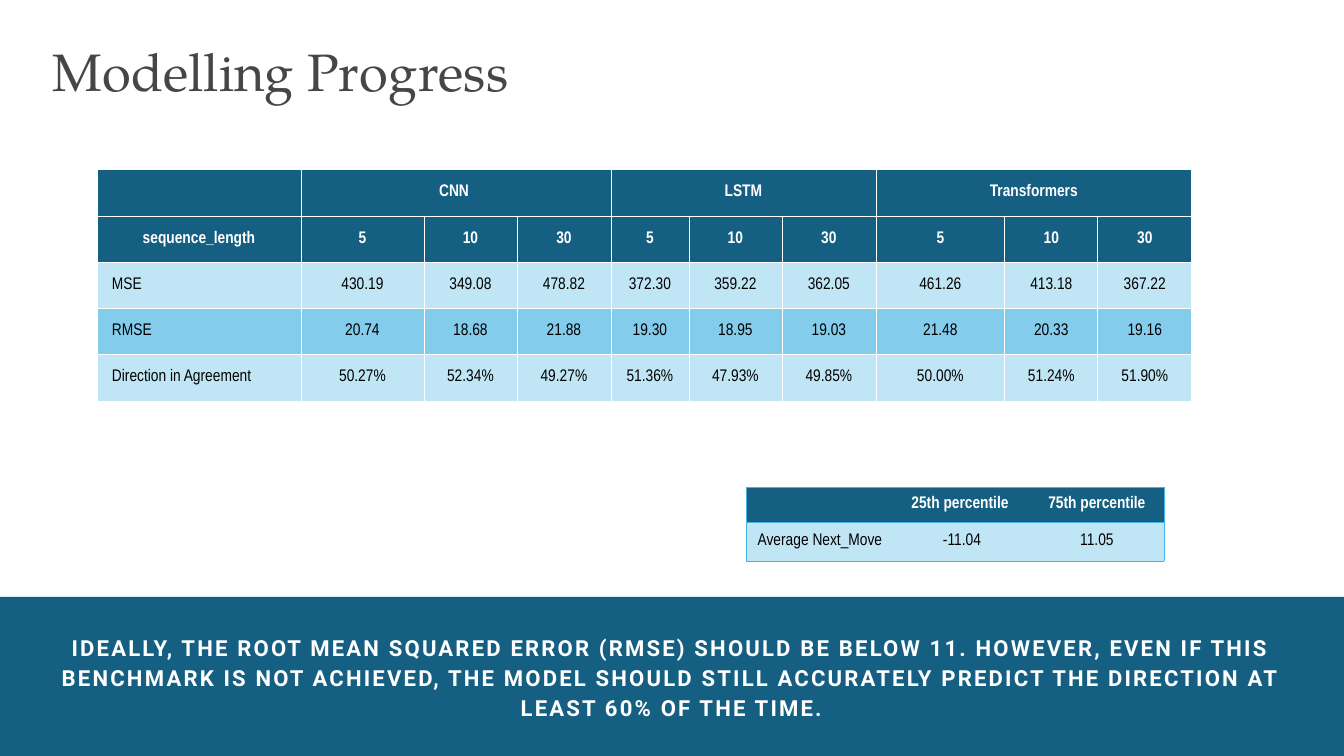
import lxml.etree
import pptx
import pptx.dml.color
import pptx.enum.shapes
import pptx.enum.text
import pptx.oxml.ns
import pptx.util

RGB = pptx.dml.color.RGBColor
ALIGN = pptx.enum.text.PP_ALIGN
ANCHOR = pptx.enum.text.MSO_ANCHOR

NAVY = RGB(0x15, 0x60, 0x82)
PALE = RGB(0xC0, 0xE6, 0xF5)
SKY = RGB(0x83, 0xCC, 0xEB)
EDGE = RGB(0x44, 0xB3, 0xE1)
WHITE = RGB(0xFF, 0xFF, 0xFF)
BLACK = RGB(0x00, 0x00, 0x00)
GREY = RGB(0x46, 0x46, 0x46)

TITLE = "Modelling Progress"
BENCHMARK = (
    "IDEALLY, THE ROOT MEAN SQUARED ERROR (RMSE) SHOULD BE BELOW 11. HOWEVER, EVEN IF THIS "
    "BENCHMARK IS NOT ACHIEVED, THE MODEL SHOULD STILL ACCURATELY PREDICT THE DIRECTION AT "
    "LEAST 60% OF THE TIME."
)
RESULTS = [
    ["", "CNN ", "", "", "LSTM", "", "", "Transformers", "", ""],
    ["sequence_length"] + ["5", "10", "30"] * 3,
    ["MSE", "430.19", "349.08", "478.82", "372.30", "359.22", "362.05", "461.26", "413.18", "367.22"],
    ["RMSE", "20.74", "18.68", "21.88", "19.30", "18.95", "19.03", "21.48", "20.33", "19.16"],
    ["Direction in Agreement", "50.27%", "52.34%", "49.27%", "51.36%", "47.93%", "49.85%",
     "50.00%", "51.24%", "51.90%"],
]
RESULT_COLUMNS = [204, 123, 93, 94, 78, 93, 94, 129, 93, 94]
RESULT_ROWS = [47, 46, 46, 46, 47]
MODEL_STARTS = [1, 4, 7]
PERCENTILES = [
    ["", "25th percentile ", "75th percentile"],
    ["Average Next_Move", "-11.04", "11.05"],
]
PERCENTILE_COLUMNS = [148, 136, 134]
PERCENTILE_ROWS = [35, 39]


def px(length):
    return pptx.util.Emu(round(length * 914400 / 100.8))


def add_text(page, text, left, top, width, height, font, size, colour, leading, bold=False,
             align=ALIGN.LEFT, tracking=0):
    box = page.shapes.add_textbox(px(left), px(top), px(width), px(height))
    frame = box.text_frame
    frame.word_wrap = True
    frame.margin_left = frame.margin_top = frame.margin_right = frame.margin_bottom = 0
    para = frame.paragraphs[0]
    para.alignment = align
    para.line_spacing = pptx.util.Pt(leading)
    span = para.add_run()
    span.text = text
    para.font.name = font
    para.font.size = pptx.util.Pt(size)
    para.font.bold = bold
    para.font.color.rgb = colour
    if tracking:
        span._r.get_or_add_rPr().set("spc", str(tracking))


def set_border(cell, side, colour):
    name = pptx.oxml.ns.qn("a:ln" + side)
    line = lxml.etree.SubElement(cell._tc.get_or_add_tcPr(), name, w="6350")
    if colour is None:
        lxml.etree.SubElement(line, pptx.oxml.ns.qn("a:noFill"))
    else:
        fill = lxml.etree.SubElement(line, pptx.oxml.ns.qn("a:solidFill"))
        lxml.etree.SubElement(fill, pptx.oxml.ns.qn("a:srgbClr"), val=str(colour))


def add_grid(page, rows, left, top, widths, heights, header_rows, border, inside, inset,
             label_align):
    frame = page.shapes.add_table(len(rows), len(widths), px(left), px(top),
                                  px(sum(widths)), px(sum(heights)))
    grid = frame.table
    for column, width in zip(grid.columns, widths):
        column.width = px(width)
    for row, height in zip(grid.rows, heights):
        row.height = px(height)
    for r, values in enumerate(rows):
        header = r < header_rows
        shade = NAVY if header else (PALE, SKY)[(r - header_rows) % 2]
        for c, value in enumerate(values):
            cell = grid.cell(r, c)
            cell.margin_left = cell.margin_right = px(inset)
            cell.margin_top = cell.margin_bottom = px(1)
            cell.vertical_anchor = ANCHOR.MIDDLE
            set_border(cell, "L", border if c == 0 else inside)
            set_border(cell, "R", border if c == len(widths) - 1 else inside)
            set_border(cell, "T", border)
            set_border(cell, "B", border)
            cell.fill.solid()
            cell.fill.fore_color.rgb = shade
            if not value:
                continue
            cell.text = value
            para = cell.text_frame.paragraphs[0]
            para.alignment = label_align if c == 0 and not header else ALIGN.CENTER
            para.font.name = "Arial Narrow"
            para.font.size = pptx.util.Pt(12)
            para.font.bold = header
            para.font.color.rgb = WHITE if header else BLACK
    return grid


def main():
    deck = pptx.Presentation()
    deck.slide_width = px(1344)
    deck.slide_height = px(756)
    page = deck.slides.add_slide(deck.slide_layouts[6])

    add_text(page, TITLE, 53, 46, 1240, 55, "TeX Gyre Pagella", 37.5, GREY, 39.9)

    band = page.shapes.add_shape(pptx.enum.shapes.MSO_SHAPE.RECTANGLE,
                                 px(0), px(597), px(1344), px(159))
    band.shadow.inherit = False
    band.fill.solid()
    band.fill.fore_color.rgb = NAVY
    band.line.fill.background()
    add_text(page, BENCHMARK, 47, 631, 1249, 90, "Roboto", 15.8, WHITE, 21.4, True,
             ALIGN.CENTER, 153)

    add_grid(page, PERCENTILES, 746, 487, PERCENTILE_COLUMNS, PERCENTILE_ROWS, 1, EDGE, None, 1,
             ALIGN.CENTER)
    results = add_grid(page, RESULTS, 97, 169, RESULT_COLUMNS, RESULT_ROWS, 2, WHITE, WHITE, 15,
                       ALIGN.LEFT)
    for start in MODEL_STARTS:
        results.cell(0, start).merge(results.cell(0, start + 2))

    deck.save("out.pptx")


if __name__ == "__main__":
    main()
